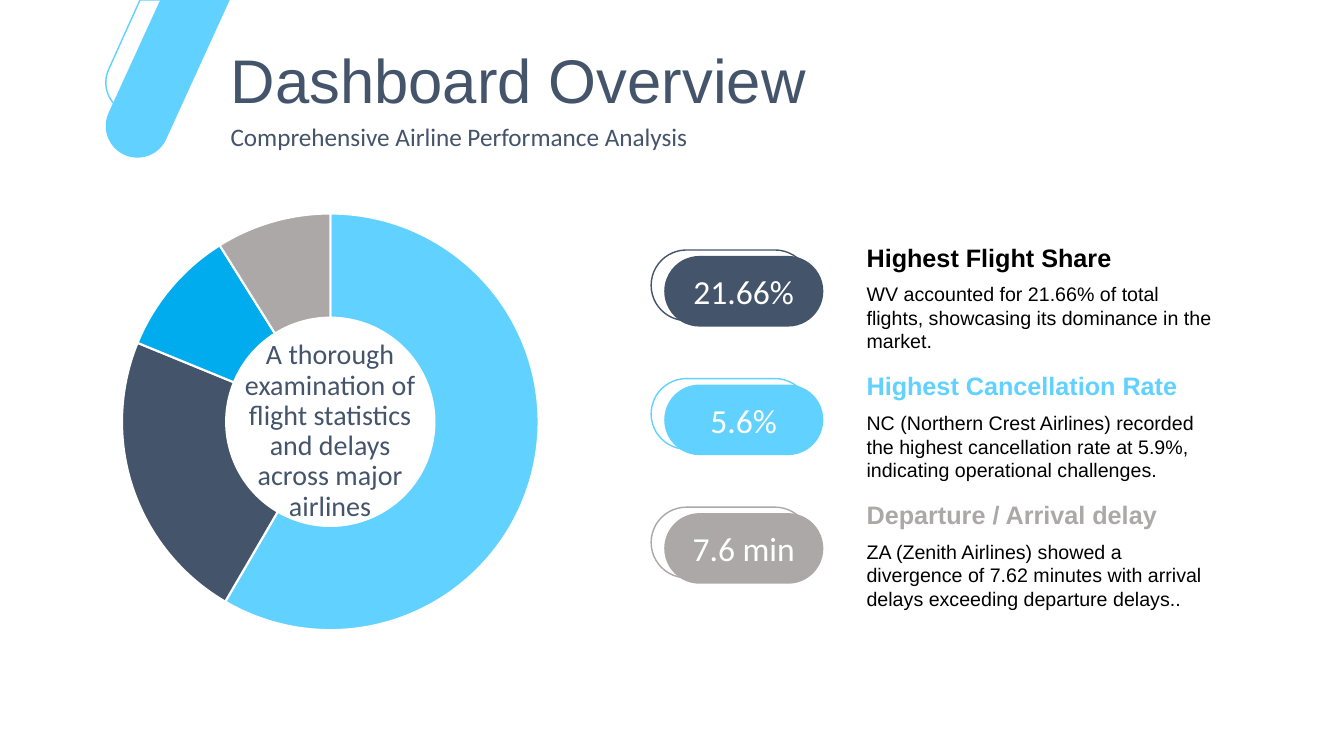
from math import atan2, cos, hypot, pi, sin

from pptx import Presentation
from pptx.chart.data import CategoryChartData as Data
from pptx.dml.color import RGBColor as Rgb
from pptx.enum.chart import XL_CHART_TYPE as Chart
from pptx.enum.shapes import MSO_SHAPE as Shape
from pptx.enum.text import MSO_ANCHOR as Anchor, MSO_AUTO_SIZE as Fit, PP_ALIGN as Align
from pptx.util import Cm, Pt

HEX = {"sky": "61D2FF", "navy": "44546A", "blue": "00ACEE",
       "gray": "ACA8A8", "black": "000000", "white": "FFFFFF"}

SHARES = [("1", 59, "sky"), ("2", 23, "navy"), ("3", 10, "blue"), ("4", 9, "gray")]

FACTS = [
    ("21.66%", "navy", "Highest Flight Share", "black",
     "WV accounted for 21.66% of total flights, showcasing its dominance in the market."),
    ("5.6%", "sky", "Highest Cancellation Rate", "sky",
     "NC (Northern Crest Airlines) recorded the highest cancellation rate at 5.9%, "
     "indicating operational challenges."),
    ("7.6 min", "gray", "Departure / Arrival delay", "gray",
     "ZA (Zenith Airlines) showed a divergence of 7.62 minutes with arrival delays "
     "exceeding departure delays.."),
]


def tint(name):
    """Return the colour with this name."""
    return Rgb.from_string(HEX[name])


class Deck:
    """Hold the style and the current slide."""

    def __init__(self):
        """Open a wide deck with one title slide."""
        self.prs = Presentation()
        self.prs.slide_width, self.prs.slide_height = Cm(33.87), Cm(19.05)
        self.slide = self.prs.slides.add_slide(self.prs.slide_layouts[5])
        self.home = self.slide.shapes

    def group(self):
        """Send the next elements to a new group."""
        self.home = self.slide.shapes.add_group_shape().shapes

    def label(self, shape, text, size, color, font="Calibri", bold=False,
              align=Align.LEFT, anchor=Anchor.TOP, lead=None):
        """Fill a shape with one styled paragraph."""
        frame = shape.text_frame
        frame.text = text
        frame.word_wrap = True
        frame.auto_size = Fit.NONE
        frame.vertical_anchor = anchor
        para = frame.paragraphs[0]
        para.alignment = align
        para.line_spacing = lead
        para.font.name, para.font.size, para.font.bold = font, Pt(size), bold
        para.font.color.rgb = tint(color)

    def title(self, text, box):
        """Move and fill the title placeholder."""
        shape = self.slide.shapes.title
        shape.left, shape.top, shape.width, shape.height = map(Cm, box)
        self.label(shape, text, 44, "navy", "Arial", anchor=Anchor.MIDDLE, lead=0.9)

    def text(self, text, box, size, color, **style):
        """Add a text box."""
        self.label(self.home.add_textbox(*map(Cm, box)), text, size, color, **style)

    def paint(self, shape, fill=None, line=None):
        """Set the fill and line of a shape."""
        shape.shadow.inherit = False
        if fill:
            shape.fill.solid()
            shape.fill.fore_color.rgb = tint(fill)
        else:
            shape.fill.background()
        if line:
            shape.line.color.rgb = tint(line)
            shape.line.width = Pt(1)
        else:
            shape.line.fill.background()

    def pill(self, box, fill=None, line=None, text=None):
        """Add a bar with round ends."""
        shape = self.home.add_shape(Shape.ROUNDED_RECTANGLE, *map(Cm, box))
        shape.adjustments[0] = 0.5
        self.paint(shape, fill, line)
        if text:
            self.label(shape, text, 24, "white", align=Align.CENTER, anchor=Anchor.MIDDLE)

    def strip(self, left, right, start, end, **style):
        """Add a slanted strip from the top edge with a round lower end."""
        mid = [(a + b) / 2 for a, b in zip(start, end)]
        dx, dy = start[0] - mid[0], start[1] - mid[1]
        rad, turn, steps = hypot(dx, dy), atan2(dy, dx), 36
        arc = [(mid[0] + rad * cos(turn + pi * i / steps),
                mid[1] + rad * sin(turn + pi * i / steps)) for i in range(steps + 1)]
        pen = self.home.build_freeform(Cm(left), 0)
        pen.add_line_segments([(Cm(x), Cm(y)) for x, y in [(right, 0)] + arc])
        self.paint(pen.convert_to_shape(), **style)

    def ring(self, rows, box):
        """Add a doughnut chart."""
        data = Data()
        data.categories = [row[0] for row in rows]
        data.add_series("Series 1", [row[1] for row in rows])
        chart = self.home.add_chart(Chart.DOUGHNUT, *map(Cm, box), data).chart
        chart.has_legend = chart.has_title = False
        chart.font.name, chart.font.size = "Calibri", Pt(10)
        chart.font.color.rgb = tint("black")
        plot = chart.plots[0]
        plot.vary_by_categories = True
        chart.element.xpath("//c:holeSize")[0].set("val", "75")
        for i, row in enumerate(rows):
            look = plot.series[0].points[i].format
            look.fill.solid()
            look.fill.fore_color.rgb = tint(row[2])
            look.line.color.rgb = tint("white")
            look.line.width = Pt(1.5)

    def fact(self, top, value, color, head, shade, body):
        """Add one key figure with its heading and note."""
        self.group()
        self.pill((16.41, top + 0.66, 4.01, 1.78), line=color)
        self.pill((16.74, top + 0.81, 4.01, 1.78), fill=color, text=value)
        self.text(head, (21.59, top, 8.46, 1.35), 18, shade,
                  font="Arial", bold=True, anchor=Anchor.BOTTOM)
        self.text(body, (21.59, top + 1.35, 9.35, 1.9), 14, "black", font="Arial")


def main():
    """Build the dashboard slide."""
    deck = Deck()
    deck.strip(4.04, 5.79, (4.19, 3.51), (2.74, 2.84), fill="sky")
    deck.strip(3.53, 5.31, (4.19, 2.41), (2.74, 1.75), line="sky")
    deck.title("Dashboard Overview", (5.56, 1.27, 18, 1.65))
    deck.text("Comprehensive Airline Performance Analysis",
              (5.56, 2.92, 18, 1.78), 18, "navy")
    deck.ring(SHARES, (-0.08, 5.03, 16.81, 11.2))
    deck.text("A thorough examination of flight statistics and delays across major airlines",
              (5.92, 8.46, 4.8, 3), 20, "navy", align=Align.CENTER, lead=0.9)
    for i, fact in enumerate(FACTS):
        deck.fact(5.64 + 3.24 * i, *fact)
    deck.prs.save("out.pptx")


if __name__ == "__main__":
    main()
